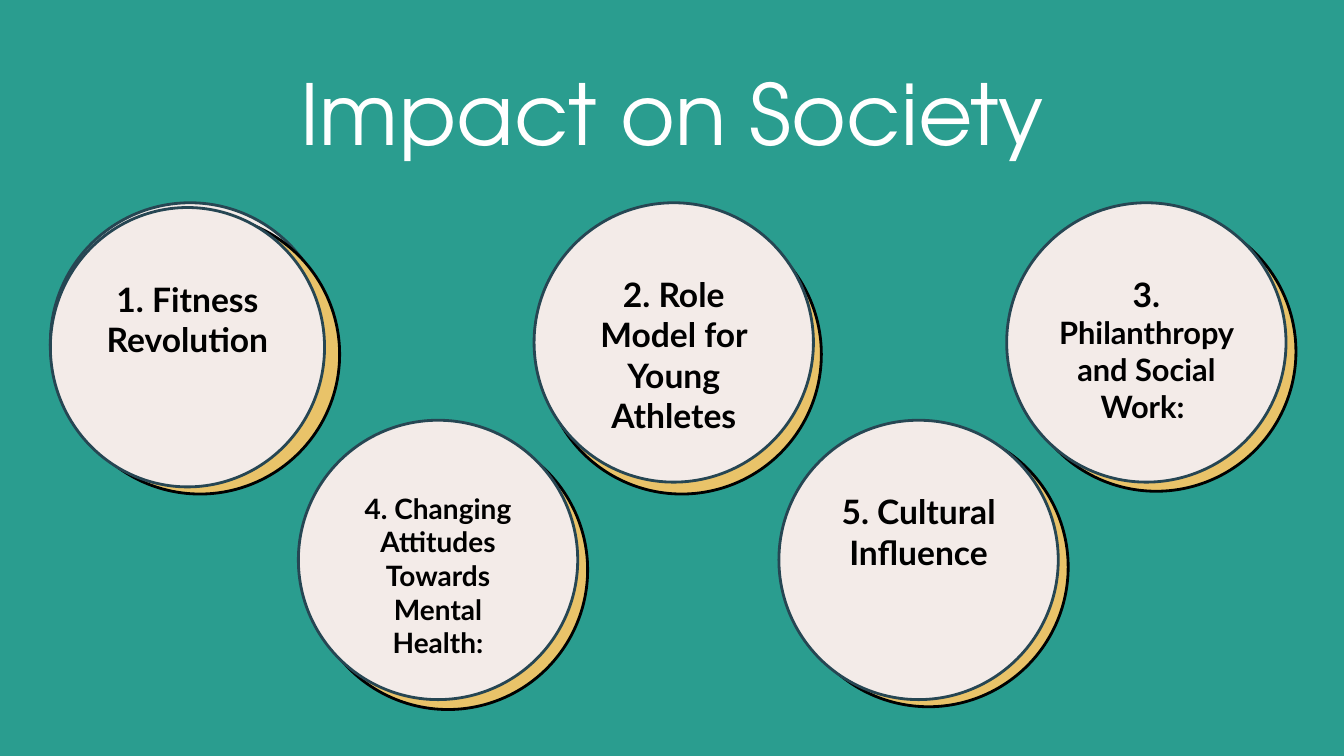
from pptx import Presentation
from pptx.dml.color import RGBColor
from pptx.enum.shapes import MSO_SHAPE as SHAPE
from pptx.enum.text import MSO_ANCHOR as ANCHOR, PP_ALIGN as ALIGN
from pptx.util import Cm, Pt

TEAL = RGBColor(0x2A, 0x9D, 0x8F)
GOLD = RGBColor(0xE9, 0xC3, 0x69)
CREAM = RGBColor(0xF3, 0xEB, 0xE8)
NAVY = RGBColor(0x26, 0x46, 0x53)
BLACK = RGBColor(0, 0, 0)
WHITE = RGBColor(0xFF, 0xFF, 0xFF)

DIAMETER = 7.04
UPPER, LOWER = 5.11, 10.59

# Left, top and width of the disc, shift of its gold shade, runs of (text, size)
IMPACTS = [
    (1.27, 5.23, 6.91, (0.25, 0.18), [("1. Fitness Revolution", 24)]),
    (13.46, UPPER, DIAMETER, (0.2, 0.3), [("2. Role Model for Young Athletes", 24)]),
    (25.37, UPPER, DIAMETER, (0.25, 0.23),
     [("3. ", 24), ("Philanthropy and Social Work: ", 22)]),
    (7.52, LOWER, DIAMETER, (0.25, 0.25),
     [("4. Changing Attitudes Towards Mental Health:", 20)]),
    (19.63, LOWER, DIAMETER, (0.25, 0.18), [("5. Cultural Influence", 24)]),
]


class SlideBuilder:
    def __init__(self, prs):
        self.slide = prs.slides.add_slide(prs.slide_layouts[6])
        fill = self.slide.background.fill
        fill.solid()
        fill.fore_color.rgb = TEAL

    def circle(self, left, top, fill, line, width=DIAMETER):
        sp = self.slide.shapes.add_shape(
            SHAPE.OVAL, Cm(left), Cm(top), Cm(width), Cm(DIAMETER))
        sp.shadow.inherit = False
        sp.fill.solid()
        sp.fill.fore_color.rgb = fill
        sp.line.color.rgb = line
        sp.line.width = Pt(2)
        return sp

    def add_text(self, sp, runs, font, color, anchor, inset_top=0.13, bold=False):
        tf = sp.text_frame
        frame = {"word_wrap": True, "vertical_anchor": anchor,
                 "margin_left": Cm(0.25), "margin_right": Cm(0.25),
                 "margin_top": Cm(inset_top), "margin_bottom": Cm(0.13)}
        for name, value in frame.items():
            setattr(tf, name, value)
        p = tf.paragraphs[0]
        p.alignment = ALIGN.CENTER
        for text, size in runs:
            r = p.add_run()
            r.text = text
            for name, value in {"name": font, "size": Pt(size), "bold": bold}.items():
                setattr(r.font, name, value)
            r.font.color.rgb = color

    def title(self, text):
        sp = self.slide.shapes.add_textbox(Cm(3.18), Cm(1.42), Cm(27.53), Cm(2.82))
        self.add_text(sp, [(text, 60)], "TeX Gyre Adventor", WHITE, ANCHOR.MIDDLE)

    def disc(self, left, top, width, runs):
        sp = self.circle(left, top, CREAM, NAVY, width)
        self.add_text(sp, runs, "Lato", BLACK, ANCHOR.TOP, inset_top=0.76, bold=True)


def main():
    prs = Presentation()
    prs.slide_width, prs.slide_height = Cm(33.87), Cm(19.05)
    s = SlideBuilder(prs)
    s.circle(1.27, UPPER, CREAM, NAVY)
    for left, top, width, (dx, dy), runs in IMPACTS:
        s.circle(left + dx, top + dy, GOLD, BLACK)
    s.title("Impact on Society")
    for left, top, width, shift, runs in IMPACTS:
        s.disc(left, top, width, runs)
    prs.save("out.pptx")


if __name__ == "__main__":
    main()
